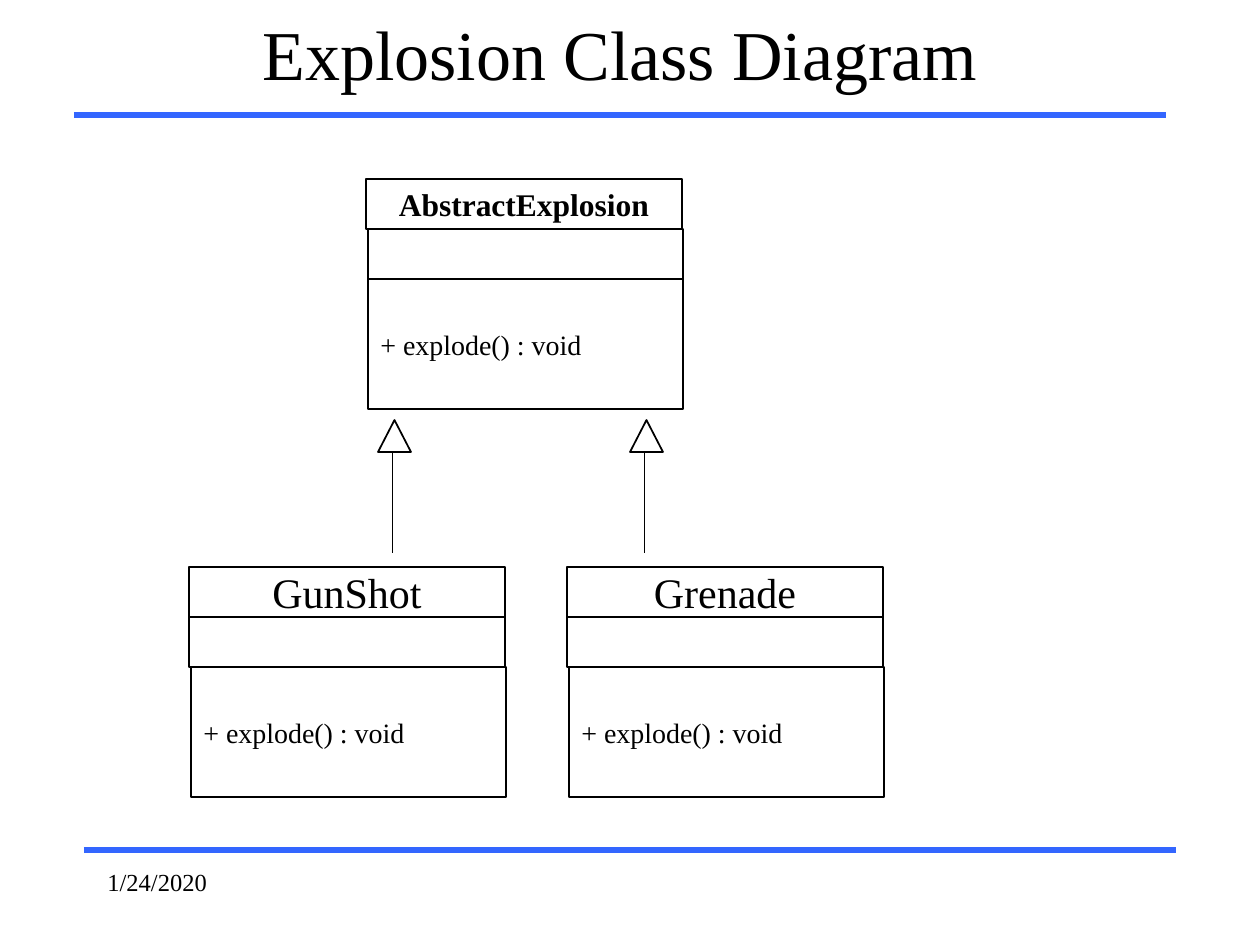
from pptx import Presentation
from pptx.dml.color import RGBColor
from pptx.enum.shapes import MSO_CONNECTOR, MSO_SHAPE
from pptx.enum.text import MSO_ANCHOR, MSO_AUTO_SIZE, PP_ALIGN
from pptx.oxml.ns import qn
from pptx.util import Emu, Pt
from lxml.etree import SubElement

FONT = "Times New Roman"
BLACK, WHITE, BLUE = "000000", "FFFFFF", "3366FF"
CLASS_W, ROW_H, OPS_H = 316, 50, 130


def px(n):
    return Emu(round(n * 914400 / 126))


def color(value):
    return RGBColor.from_string(value)


def set_text(sp, text, size, align=PP_ALIGN.LEFT, anchor=MSO_ANCHOR.MIDDLE, bold=False):
    tf = sp.text_frame
    tf.text = text
    tf.word_wrap = True
    tf.auto_size = MSO_AUTO_SIZE.NONE
    tf.vertical_anchor = anchor
    p = tf.paragraphs[0]
    p.alignment = align
    font = p.runs[0].font
    font.name, font.size, font.bold = FONT, Pt(size), bold
    font.color.rgb = color(BLACK)


def add_line(shapes, x1, y1, x2, y2, line, width):
    c = shapes.add_connector(MSO_CONNECTOR.STRAIGHT, px(x1), px(y1), px(x2), px(y2))
    c.line.color.rgb = color(line)
    c.line.width = Pt(width)
    SubElement(c._element.spPr, qn("a:effectLst"))


def add_outline(shapes, kind, x, y, w, h, width=0.75):
    sp = shapes.add_shape(kind, px(x), px(y), px(w), px(h))
    sp.shadow.inherit = False
    sp.fill.solid()
    sp.fill.fore_color.rgb = color(WHITE)
    sp.line.color.rgb = color(BLACK)
    sp.line.width = Pt(width)
    return sp


def add_class(s, x, y, name, size, bold=False, attr_inset=0):
    """UML class: name, empty attributes and operations compartments."""
    shapes = s.shapes.add_group_shape().shapes
    rect = MSO_SHAPE.RECTANGLE
    header = add_outline(shapes, rect, x, y, CLASS_W, ROW_H)
    set_text(header, name, size, PP_ALIGN.CENTER, bold=bold)
    add_outline(shapes, rect, x + attr_inset, y + ROW_H, CLASS_W - attr_inset // 2, ROW_H)
    ops = add_outline(shapes, rect, x + 2, y + 2 * ROW_H, CLASS_W - 1, OPS_H)
    set_text(ops, "+ explode() : void", 16)


def add_inheritance(s, x, y):
    """Stem with a hollow triangle pointing at the parent class."""
    shapes = s.shapes.add_group_shape().shapes
    add_line(shapes, x + 14, y + 133, x + 14, y + 17, BLACK, 0.5)
    add_outline(shapes, MSO_SHAPE.ISOSCELES_TRIANGLE, x, y, 33, 32, 1)


def add_frame(s):
    """Title, rules and date."""
    add_line(s.shapes, 84, 850, 1176, 850, BLUE, 3)
    add_line(s.shapes, 74, 115, 1166, 115, BLUE, 3)
    title = s.shapes.title
    title.left, title.top, title.width, title.height = px(74), px(0), px(1092), px(105)
    set_text(title, "Explosion Class Diagram", 40, PP_ALIGN.CENTER)
    date = s.shapes.add_textbox(px(95), px(861), px(262), px(63))
    set_text(date, "1/24/2020", 14, anchor=MSO_ANCHOR.TOP)


def main():
    prs = Presentation()
    prs.slide_width, prs.slide_height = px(1260), px(945)
    s = prs.slides.add_slide(prs.slide_layouts[5])
    add_frame(s)

    # Parent class, then each child with its inheritance arrow
    add_class(s, 366, 179, "AbstractExplosion", 18, bold=True, attr_inset=2)
    for i, name in enumerate(("GunShot", "Grenade")):
        add_class(s, 189 + 378 * i, 567, name, 24)
        add_inheritance(s, 378 + 252 * i, 420)
    prs.save("out.pptx")


if __name__ == "__main__":
    main()
